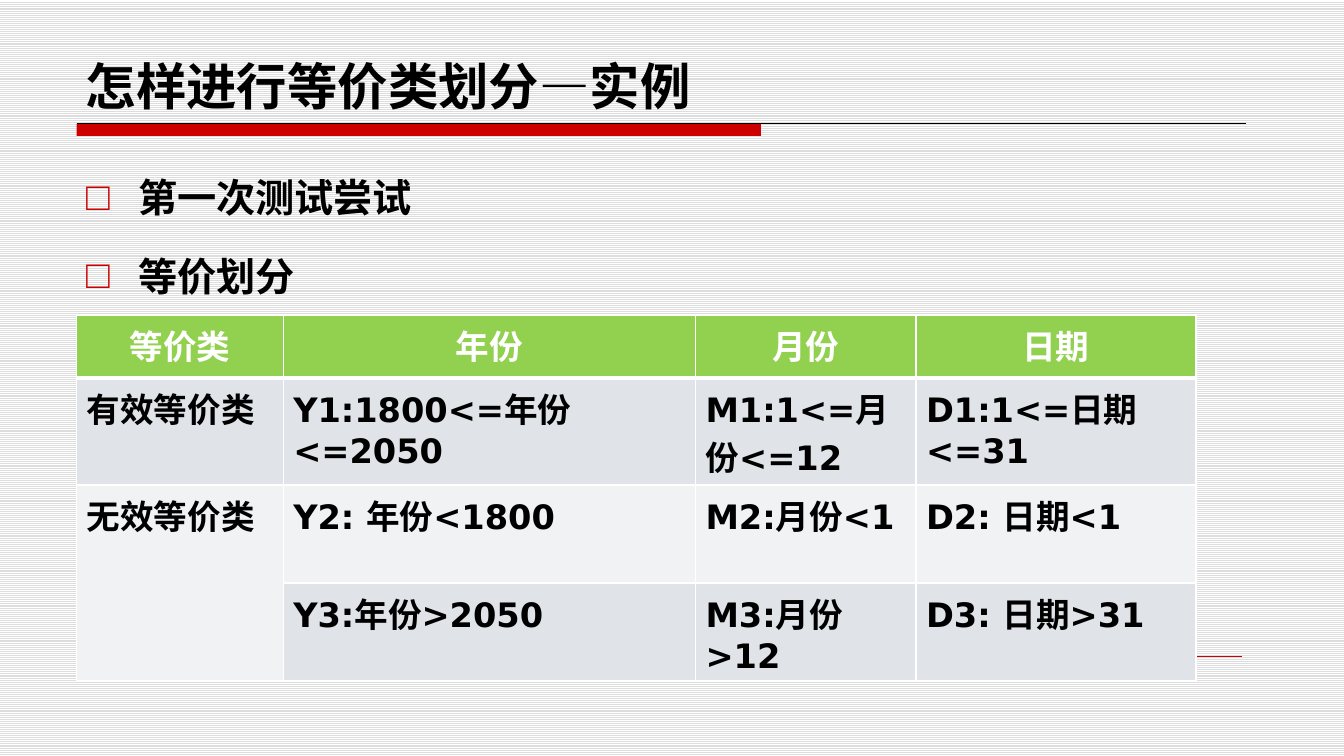
from lxml import etree
from pptx import Presentation
from pptx.dml.color import RGBColor
from pptx.enum import dml, shapes, text
from pptx.oxml import ns
from pptx.util import Pt

RED, BLACK, WHITE = "CC0000", "000000", "FFFFFF"
GREEN, DARK_BAND, LIGHT_BAND = "92D050", "E0E4E9", "F0F2F4"
HEADING = {"size": Pt(36), "name": "Times New Roman", "bold": True}
POINT = {**HEADING, "size": Pt(28)}
CELL = {"size": Pt(24), "name": "DejaVu Sans", "bold": True}
COLUMN_WIDTHS = (147.5, 294.5, 157.5, 200)
ROW_HEIGHTS = (45, 76.5, 70, 70)
CLASSES = (
    ("等价类", "年份", "月份", "日期"),
    ("有效等价类", "Y1:1800<=年份<=2050", "M1:1<=月份<=12", "D1:1<=日期<=31"),
    ("无效等价类", "Y2: 年份<1800", "M2:月份<1", "D2: 日期<1"),
    ("", "Y3:年份>2050", "M3:月份>12", "D3: 日期>31"),
)


def rgb(value):
    """Turn a hex string into a colour."""
    return RGBColor.from_string(value)


def box(*lengths):
    """Turn lengths in points into slide units."""
    return [Pt(length) for length in lengths]


def add_xml(parent, tag, **attributes):
    """Append a drawing element and return it."""
    return etree.SubElement(parent, ns.qn(tag), attributes)


def write(paragraph, words, style, color):
    """Put one styled run into a paragraph."""
    run = paragraph.add_run()
    run.text = words
    for key, value in style.items():
        setattr(run.font, key, value)
    run.font.color.rgb = rgb(color)


def add_rule(slide, left, right, y, color, width):
    """Draw a horizontal rule."""
    rule = slide.shapes.add_connector(
        shapes.MSO_CONNECTOR.STRAIGHT, *box(left, y, right, y))
    rule.line.color.rgb = rgb(color)
    rule.line.width = Pt(width)
    add_xml(rule._element.spPr, "a:effectLst")


def add_bar(slide, *lengths):
    """Draw the red bar under the heading."""
    bar = slide.shapes.add_shape(
        shapes.MSO_SHAPE.RECTANGLE, *box(*lengths))
    bar.shadow.inherit = False
    bar.fill.solid()
    bar.fill.fore_color.rgb = rgb(RED)
    bar.line.fill.background()


def set_heading(slide, words):
    """Place and format the title placeholder."""
    heading = slide.shapes.title
    heading.left, heading.top, heading.width, heading.height = box(
        54, 21, 840, 65.5)
    frame = heading.text_frame
    layout = {"vertical_anchor": text.MSO_ANCHOR.BOTTOM, "word_wrap": True,
              "auto_size": text.MSO_AUTO_SIZE.NONE}
    for key, value in layout.items():
        setattr(frame, key, value)
    frame.paragraphs[0].alignment = text.PP_ALIGN.LEFT
    write(frame.paragraphs[0], words, HEADING, BLACK)


def add_points(slide, points):
    """Add the bulleted points."""
    frame = slide.shapes.add_textbox(*box(54.5, 103.5, 840, 336)).text_frame
    frame.word_wrap = True
    for index, words in enumerate(points):
        paragraph = frame.add_paragraph() if index else frame.paragraphs[0]
        paragraph.line_spacing = 1.5
        paragraph.space_before = Pt(5.6)
        properties = paragraph._p.get_or_add_pPr()
        properties.set("marL", str(Pt(37)))
        properties.set("indent", str(-Pt(37)))
        add_xml(add_xml(properties, "a:buClr"), "a:srgbClr", val=RED)
        add_xml(properties, "a:buFont", typeface=POINT["name"])
        add_xml(properties, "a:buChar", char="□")
        write(paragraph, words, POINT, BLACK)


def border(cell, **widths):
    """Give a cell white borders."""
    properties = cell._tc.get_or_add_tcPr()
    for side in "LRTB":
        line = add_xml(properties, f"a:ln{side}",
                       w=str(Pt(widths.get(side, 1))))
        add_xml(add_xml(line, "a:solidFill"), "a:srgbClr", val=WHITE)


def add_class_table(slide):
    """Add the table of equivalence classes."""
    table = slide.shapes.add_table(
        len(ROW_HEIGHTS), len(COLUMN_WIDTHS),
        *box(54.8, 225, sum(COLUMN_WIDTHS), sum(ROW_HEIGHTS))).table
    for column, width in zip(table.columns, COLUMN_WIDTHS):
        column.width = Pt(width)
    for band, height in zip(table.rows, ROW_HEIGHTS):
        band.height = Pt(height)
    fills = (GREEN, DARK_BAND, LIGHT_BAND, DARK_BAND)
    edges = ({"B": 3}, {"T": 3}, {}, {})
    for row, (entries, fill, edge) in enumerate(zip(CLASSES, fills, edges)):
        for column, words in enumerate(entries):
            cell = table.cell(row, column)
            border(cell, **edge)
            cell.fill.solid()
            cell.fill.fore_color.rgb = rgb(fill)
            paragraph = cell.text_frame.paragraphs[0]
            if row == 0:
                paragraph.alignment = text.PP_ALIGN.CENTER
            if words:
                write(paragraph, words, CELL, BLACK if row else WHITE)
    table.cell(2, 0).merge(table.cell(3, 0))


def main():
    """Build the slide and save it."""
    deck = Presentation()
    deck.slide_width, deck.slide_height = box(960, 540)
    slide = deck.slides.add_slide(deck.slide_layouts[5])
    backdrop = slide.background.fill
    backdrop.patterned()
    backdrop.pattern = dml.MSO_PATTERN.LIGHT_HORIZONTAL
    backdrop.fore_color.rgb = rgb("DDDDDD")
    backdrop.back_color.rgb = rgb(WHITE)
    add_bar(slide, 54.8, 88.5, 488.8, 8.6)
    add_rule(slide, 54.8, 890, 88.5, BLACK, 0.75)
    add_rule(slide, 54.8, 887, 468.7, RED, 0.25)
    set_heading(slide, "怎样进行等价类划分—实例")
    add_points(slide, ("第一次测试尝试", "等价划分"))
    add_class_table(slide)
    deck.save("out.pptx")


main()
